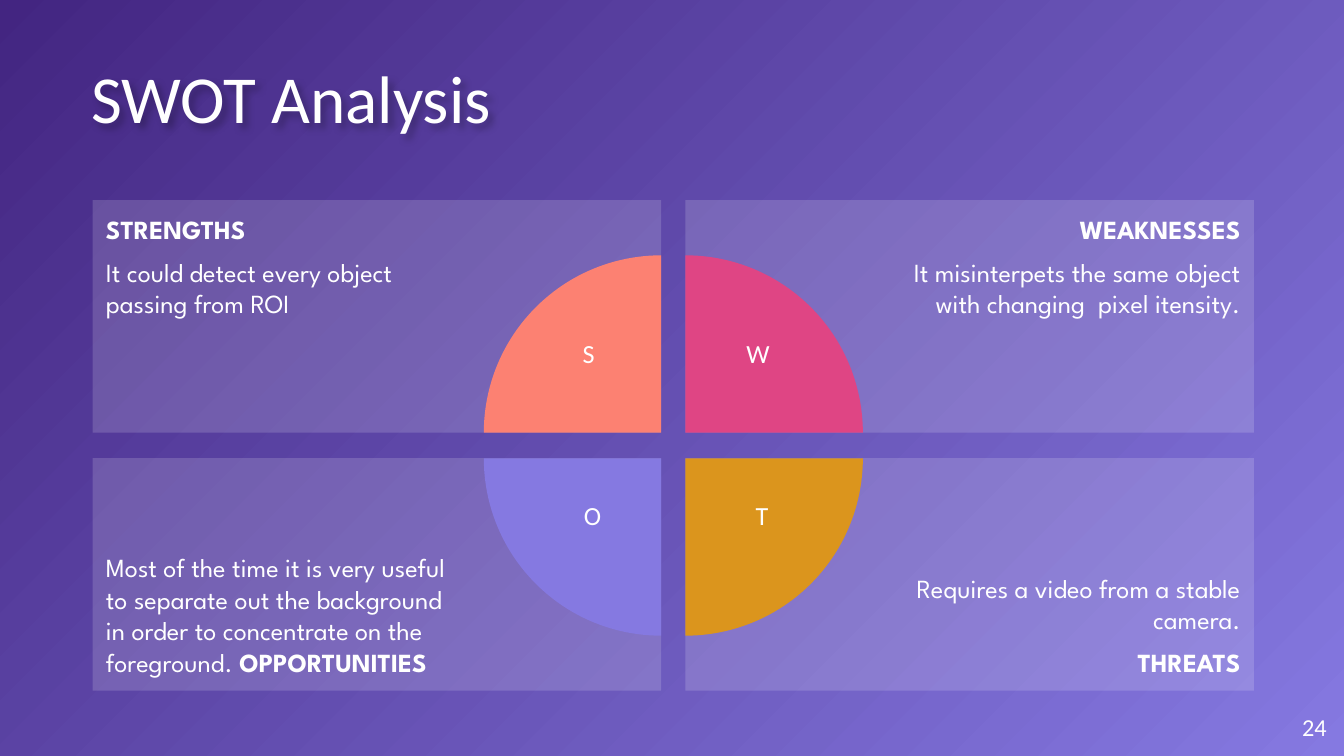
from lxml import etree
from pptx import Presentation
from pptx import util as u
from pptx.dml.color import RGBColor
from pptx.enum import shapes, text
from pptx.oxml import ns

WHITE = RGBColor(0xFF, 0xFF, 0xFF)
BLACK = RGBColor(0, 0, 0)
LILAC = RGBColor(0x85, 0x79, 0xE1)
INDIGO = RGBColor(0x43, 0x25, 0x81)
CORAL = RGBColor(0xFC, 0x81, 0x72)
PINK = RGBColor(0xDF, 0x45, 0x84)
AMBER = RGBColor(0xDB, 0x95, 0x1D)

SLIDE_W = 10
SLIDE_H = SLIDE_W * 9 / 16
BOX_W, BOX_H = 4.23, 1.73
PIE = 2.64
LEFT, RIGHT, TOP, BOTTOM = 0.69, 5.1, 1.49, 3.41
ALIGN = text.PP_ALIGN
ANCHOR = text.MSO_ANCHOR


def inches(*lengths):
    return [u.Inches(n) for n in lengths]


def sub(parent, tag, **attrs):
    return etree.SubElement(parent, ns.qn(tag), attrs)


def set_attrs(obj, values):
    for name, value in values.items():
        setattr(obj, name, value)


def write(tf, paragraphs, align, size, font, anchor, margins):
    set_attrs(tf, {"word_wrap": True, "vertical_anchor": anchor})
    sides = ("margin_left", "margin_top", "margin_right", "margin_bottom")
    set_attrs(tf, dict(zip(sides, inches(*margins))))
    for i, runs in enumerate(paragraphs):
        p = tf.add_paragraph() if i else tf.paragraphs[0]
        p.alignment = align
        if i:
            p.space_before = u.Pt(6)
        for words, bold in runs:
            r = p.add_run()
            r.text = words
            set_attrs(r.font, {"size": u.Pt(size), "name": font, "bold": bold})
            r.font.color.rgb = WHITE


def add_label(s, box, words, align, size, anchor, margins=(0, 0, 0, 0)):
    sp = s.shapes.add_textbox(*inches(*box))
    write(sp.text_frame, [[(words, False)]], align, size, "Calibri", anchor, margins)
    return sp


def add_filled(s, kind, box, color):
    sp = s.shapes.add_shape(kind, *inches(*box))
    sp.shadow.inherit = False
    sp.fill.solid()
    sp.fill.fore_color.rgb = color
    sp.line.fill.background()
    return sp


def paint_background(s):
    fill = s.background.fill
    fill.gradient()
    for stop, color in zip(fill.gradient_stops, (LILAC, INDIGO)):
        stop.color.rgb = color
    grad = s.element.find(".//" + ns.qn("a:gradFill"))
    grad.remove(grad.find(ns.qn("a:lin")))
    circle = sub(grad, "a:path", path="circle")
    sub(circle, "a:fillToRect", l="100000", t="100000")


def add_title(s, box):
    sp = add_label(s, box, "SWOT Analysis", ALIGN.LEFT, 36, ANCHOR.BOTTOM)
    sp.text_frame.paragraphs[0].line_spacing = 0.9
    effects = sub(sp.element.spPr, "a:effectLst")
    shadow = sub(effects, "a:outerShdw", blurRad="50800", dist="38100", dir="2700000")
    color = sub(shadow, "a:srgbClr", val=str(BLACK))
    sub(color, "a:alpha", val="25000")


def add_quadrant(s, left, top, letter, letter_dx, color, turn, paragraphs):
    is_left, is_top = left == LEFT, top == TOP
    panel = add_filled(s, shapes.MSO_SHAPE.RECTANGLE, (left, top, BOX_W, BOX_H), WHITE)
    tint = panel.element.spPr.find(ns.qn("a:solidFill"))[0]
    sub(tint, "a:alpha", val="16000")
    write(panel.text_frame, paragraphs, ALIGN.LEFT if is_left else ALIGN.RIGHT,
          14, "League Spartan", ANCHOR.TOP if is_top else ANCHOR.BOTTOM,
          (0.1, 0.1, 1.5, 0.1) if is_left else (1.5, 0.1, 0.1, 0.1))

    x = left + BOX_W if is_left else left
    y = top + BOX_H if is_top else top
    pie = add_filled(s, shapes.MSO_SHAPE.PIE, (x - PIE / 2, y - PIE / 2, PIE, PIE), color)
    pie.adjustments[0] = 108
    pie.adjustments[1] = 162
    pie.rotation = turn

    y += -0.51 if is_top else 0.51
    add_label(s, (x + letter_dx - 0.3, y - 0.25, 0.6, 0.5), letter, ALIGN.CENTER, 14,
              ANCHOR.TOP, (0.1, 0.05, 0.1, 0.05))


def main():
    prs = Presentation()
    prs.slide_width, prs.slide_height = inches(SLIDE_W, SLIDE_H)
    s = prs.slides.add_slide(prs.slide_layouts[6])
    paint_background(s)
    add_label(s, (9.27, 5.19, 0.6, 0.43), "24", ALIGN.RIGHT, 13, ANCHOR.MIDDLE)
    quadrants = [
        (LEFT, TOP, "S", -0.54, CORAL, 0,
         [[("STRENGTHS", True)],
          [("It could detect every object passing from ROI", False)]]),
        (RIGHT, TOP, "W", 0.54, PINK, 90,
         [[("WEAKNESSES", True)],
          [("It misinterpets the same object with changing  pixel itensity.", False)]]),
        (LEFT, BOTTOM, "O", -0.51, LILAC, 270,
         [[("Most of the time it is very useful to separate out the background "
            "in order to concentrate on the foreground. ", False),
           ("OPPORTUNITIES", True)]]),
        (RIGHT, BOTTOM, "T", 0.57, AMBER, 180,
         [[("Requires a video from a stable camera.", False)],
          [("THREATS", True)]]),
    ]
    for quadrant in quadrants:
        add_quadrant(s, *quadrant)
    add_title(s, (0.68, 0.41, 8.64, 0.62))
    prs.save("out.pptx")


if __name__ == "__main__":
    main()
